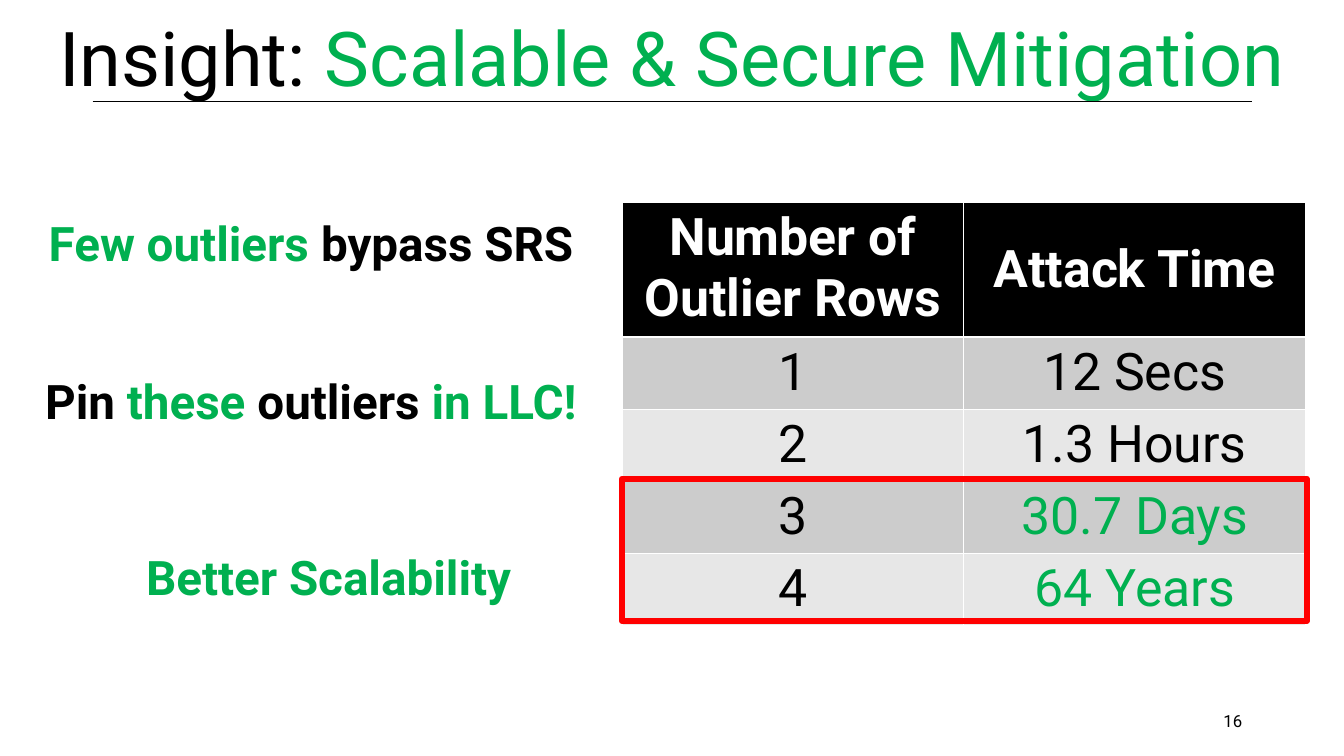
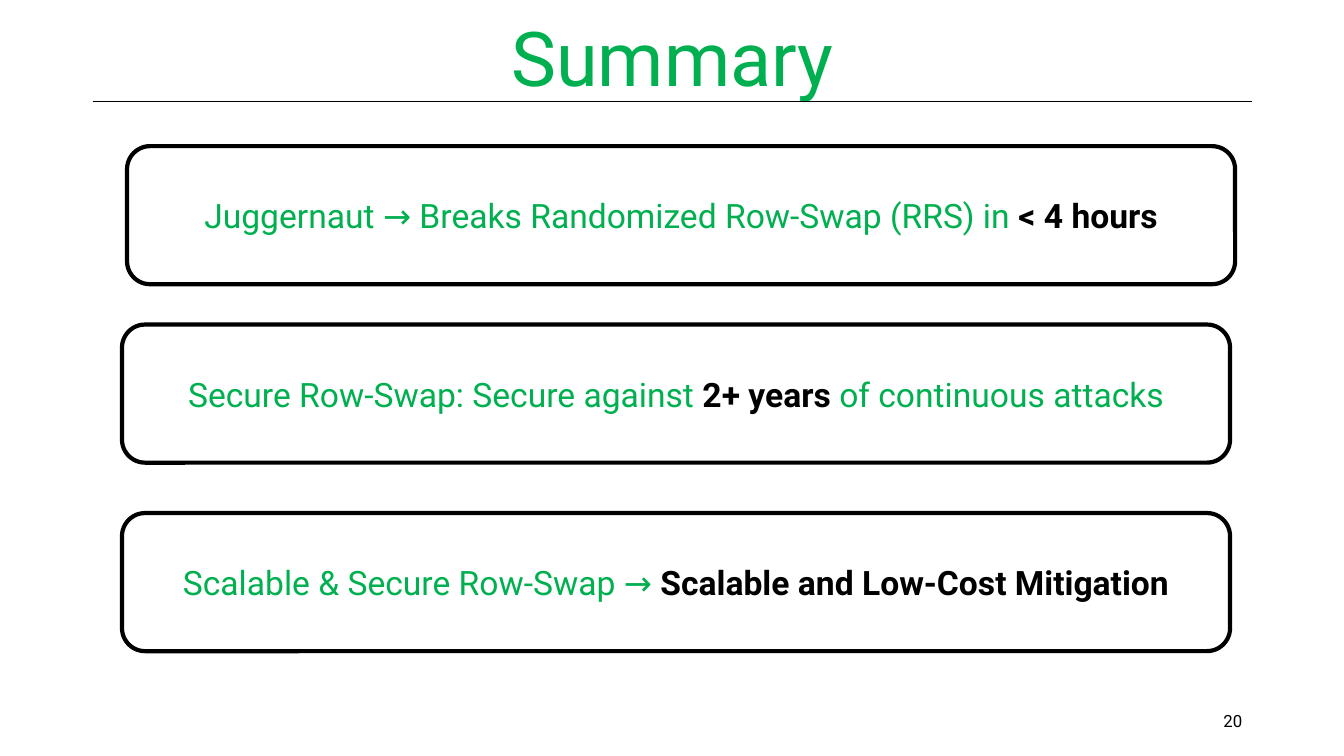
import pptx
import pptx.util
import pptx.dml.color
import pptx.enum.shapes
import pptx.enum.text
import lxml.etree
from pptx.util import Inches

RGBColor = pptx.dml.color.RGBColor
BLACK = RGBColor(0x00, 0x00, 0x00)
WHITE = RGBColor(0xFF, 0xFF, 0xFF)
GREEN = RGBColor(0x00, 0xB0, 0x50)
RED = RGBColor(0xFF, 0x00, 0x00)
DARK_BAND = RGBColor(0xCC, 0xCC, 0xCC)
LIGHT_BAND = RGBColor(0xE7, 0xE7, 0xE7)
FONT = "Roboto"
ALIGN = pptx.enum.text.PP_ALIGN
ANCHOR = pptx.enum.text.MSO_ANCHOR
SHAPE = pptx.enum.shapes.MSO_SHAPE


def write(frame, *pieces, size, bold=False, align=ALIGN.CENTER, anchor=ANCHOR.MIDDLE, spacing=1.0):
    frame.word_wrap = True
    frame.vertical_anchor = anchor
    para = frame.paragraphs[0]
    para.alignment = align
    para.line_spacing = spacing
    for text, color, *weight in pieces:
        span = para.add_run()
        span.text = text
        span.font.name = FONT
        span.font.size = pptx.util.Pt(size)
        span.font.bold = weight[0] if weight else bold
        span.font.color.rgb = color


def add_page(deck, number, left, width, *title):
    page = deck.slides.add_slide(deck.slide_layouts[5])
    heading = page.shapes.title
    heading.left, heading.top = Inches(left), Inches(0.23)
    heading.width, heading.height = Inches(width), Inches(0.78)
    heading.text_frame.auto_size = pptx.enum.text.MSO_AUTO_SIZE.NONE
    write(heading.text_frame, *title, size=54, spacing=0.9)

    rule = page.shapes.add_connector(
        pptx.enum.shapes.MSO_CONNECTOR.STRAIGHT,
        Inches(0.92), Inches(1.01), Inches(12.42), Inches(1.01))
    rule.line.color.rgb = BLACK
    rule.line.width = pptx.util.Pt(0.5)
    lxml.etree.SubElement(rule._element.spPr, pptx.oxml.ns.qn("a:effectLst"))

    footer = page.shapes.add_textbox(Inches(9.42), Inches(6.95), Inches(3), Inches(0.4))
    write(footer.text_frame, (number, BLACK), size=12, align=ALIGN.RIGHT)
    return page


deck = pptx.Presentation()
deck.slide_width = Inches(13.33)
deck.slide_height = Inches(7.5)

page = add_page(deck, "16", 0, 13.33,
                ("Insight:", BLACK), (" Scalable & Secure Mitigation", GREEN))

rows = [
    ("Number of Outlier Rows", "Attack Time", WHITE),
    ("1", "12 Secs", BLACK),
    ("2", "1.3 Hours", BLACK),
    ("3", "30.7 Days", GREEN),
    ("4", "64 Years", GREEN),
]
table = page.shapes.add_table(
    len(rows), 2, Inches(6.17), Inches(2.01), Inches(6.78), Inches(4.11)).table
for column in table.columns:
    column.width = Inches(3.39)
for row_index, (count, time, time_color) in enumerate(rows):
    header = row_index == 0
    table.rows[row_index].height = Inches(1.31 if header else 0.7)
    band = BLACK if header else DARK_BAND if row_index % 2 else LIGHT_BAND
    count_color = WHITE if header else BLACK
    for column_index, piece in enumerate([(count, count_color), (time, time_color)]):
        cell = table.cell(row_index, column_index)
        cell.fill.solid()
        cell.fill.fore_color.rgb = band
        anchor = ANCHOR.MIDDLE if header and column_index else ANCHOR.TOP
        write(cell.text_frame, piece, size=37, bold=header)
        cell.vertical_anchor = anchor

highlight = page.shapes.add_shape(
    SHAPE.RECTANGLE, Inches(6.17), Inches(4.75), Inches(6.79), Inches(1.41))
highlight.shadow.inherit = False
highlight.fill.background()
highlight.line.color.rgb = RED
highlight.line.width = pptx.util.Pt(4.5)

points = [
    (0, 2.07, 6.17, ALIGN.CENTER, [("Few outliers ", GREEN), ("bypass SRS", BLACK)]),
    (0, 3.64, 6.17, ALIGN.CENTER,
     [("Pin", BLACK), (" these ", GREEN), ("outliers", BLACK), (" in LLC!", GREEN)]),
    (1.35, 5.39, 4.05, ALIGN.LEFT, [("Better Scalability", GREEN)]),
]
for left, top, width, align, pieces in points:
    box = page.shapes.add_textbox(Inches(left), Inches(top), Inches(width), Inches(0.67))
    write(box.text_frame, *pieces, size=34, bold=True, align=align, anchor=ANCHOR.TOP)

page = add_page(deck, "20", 0.92, 11.5, ("Summary", GREEN))

findings = [
    (1.26, 1.45, [("Juggernaut → Breaks Randomized Row-Swap (RRS) in ", GREEN),
                  ("< 4 hours", BLACK, True)]),
    (1.21, 3.22, [("Secure Row-Swap: Secure against ", GREEN),
                  ("2+ years ", BLACK, True),
                  ("of continuous attacks", GREEN)]),
    (1.21, 5.09, [("Scalable & Secure Row-Swap → ", GREEN),
                  ("Scalable and Low-Cost Mitigation", BLACK, True)]),
]
for left, top, pieces in findings:
    card = page.shapes.add_shape(
        SHAPE.ROUNDED_RECTANGLE, Inches(left), Inches(top), Inches(10.99), Inches(1.37))
    card.shadow.inherit = False
    card.fill.solid()
    card.fill.fore_color.rgb = WHITE
    card.line.color.rgb = BLACK
    card.line.width = pptx.util.Pt(3)
    write(card.text_frame, *pieces, size=24)

deck.save("out.pptx")
